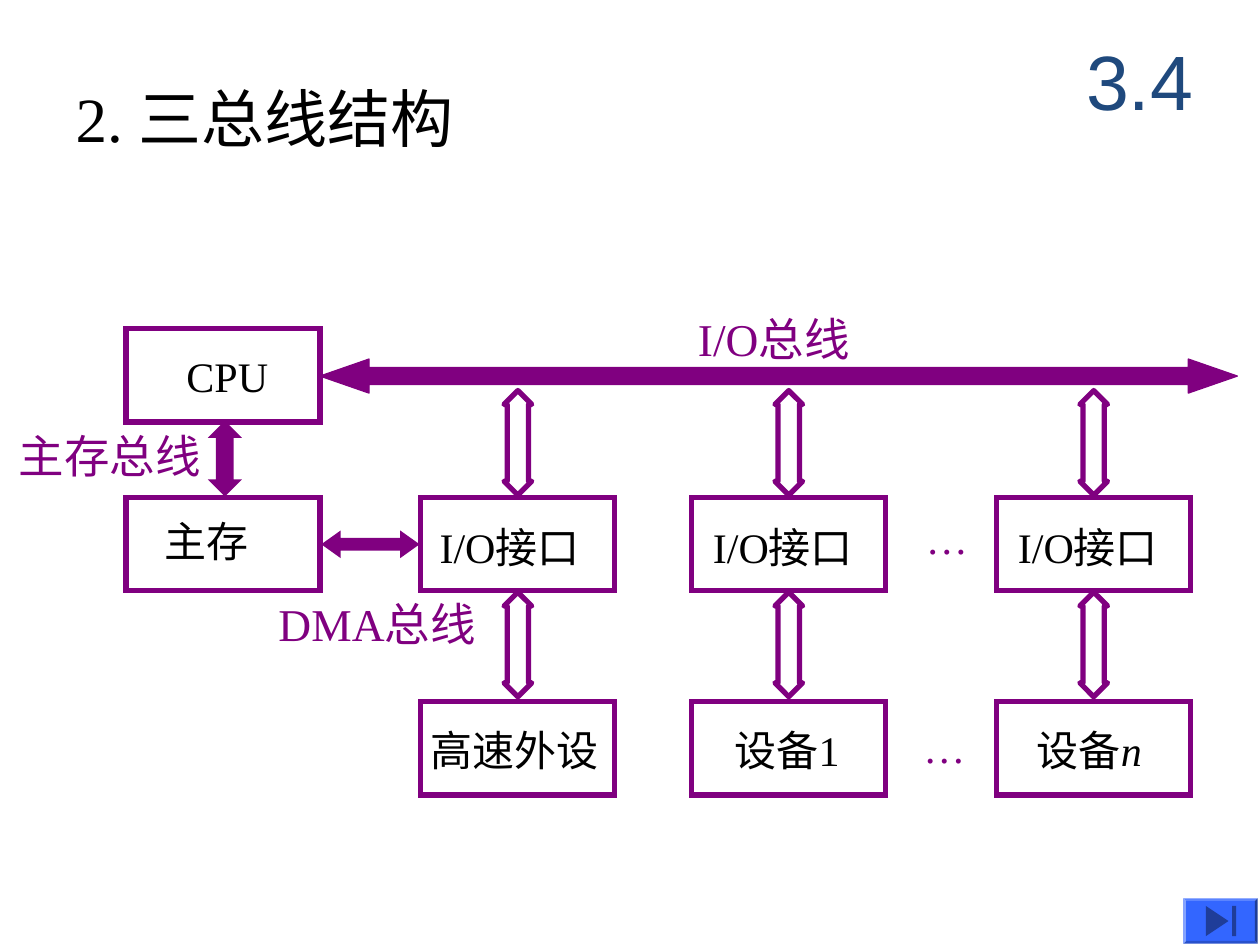
from dataclasses import dataclass

from pptx import Presentation
from pptx.dml.color import RGBColor
from pptx.enum import shapes, text
from pptx.oxml.ns import qn
from pptx.util import Inches, Pt
from lxml import etree


@dataclass(frozen=True)
class Theme:
    purple: RGBColor = RGBColor(0x80, 0x00, 0x80)
    black: RGBColor = RGBColor(0, 0, 0)
    navy: RGBColor = RGBColor(0x1F, 0x49, 0x7D)
    button: RGBColor = RGBColor(0x33, 0x66, 0xFF)
    button_symbol: RGBColor = RGBColor(0x1F, 0x3D, 0x99)
    serif: str = "Times New Roman"
    sans: str = "Calibri"
    number_font: str = "Arial"
    number_size: int = 44
    heading_size: int = 36
    bus_size: int = 26
    box_size: int = 24
    outline: int = 3


theme = Theme()
presentation = Presentation()
presentation.slide_width, presentation.slide_height = Inches(10), Inches(7.5)
slide = presentation.slides.add_slide(presentation.slide_layouts[1])
rectangle = shapes.MSO_SHAPE.RECTANGLE
horizontal = shapes.MSO_SHAPE.LEFT_RIGHT_ARROW
vertical = shapes.MSO_SHAPE.UP_DOWN_ARROW


def add_figure(kind, place, fill=None, outline=None, adjustments=()):
    """Add a preset shape; place is left, top, width, height in inches."""
    shape = slide.shapes.add_shape(kind, *map(Inches, place))
    shape.shadow.inherit = False
    for index, value in enumerate(adjustments):
        shape.adjustments[index] = value
    if fill is None:
        shape.fill.background()
    else:
        shape.fill.solid()
        shape.fill.fore_color.rgb = fill
    if outline is None:
        shape.line.fill.background()
    else:
        shape.line.color.rgb = theme.purple
        shape.line.width = Pt(outline)
        if kind == rectangle:
            line = shape.line._get_or_add_ln()
            etree.SubElement(line, qn("a:miter")).set("lim", "800000")


def add_label(place, runs, size, color, inset=True, wrap=True):
    """Add a text box; runs holds (text, font, italic) tuples."""
    box = slide.shapes.add_textbox(*map(Inches, place))
    frame = box.text_frame
    frame.word_wrap = wrap
    frame.auto_size = text.MSO_AUTO_SIZE.SHAPE_TO_FIT_TEXT
    if not inset:
        frame.margin_left = frame.margin_right = Inches(0)
        frame.margin_top = frame.margin_bottom = Inches(0)
    paragraph = frame.paragraphs[0]
    paragraph.font.size = Pt(size)
    paragraph.font.color.rgb = color
    for words, font, italic in runs:
        run = paragraph.add_run()
        run.text = words
        run.font.name = font
        if italic:
            run.font.italic = True


# Section number and heading
headings = [
    (slide.shapes.title, (8.42, 0.17, 1.25, 0.92), "3.4",
     theme.number_font, theme.number_size, theme.navy, text.PP_ALIGN.CENTER, text.MSO_ANCHOR.MIDDLE),
    (slide.placeholders[1], (0.5, 0.58, 8.5, 0.75), "2. 三总线结构",
     theme.serif, theme.heading_size, theme.black, text.PP_ALIGN.LEFT, text.MSO_ANCHOR.TOP),
]
for placeholder, place, words, font, size, color, alignment, anchor in headings:
    placeholder.left, placeholder.top, placeholder.width, placeholder.height = map(Inches, place)
    frame = placeholder.text_frame
    frame.text = words
    frame.auto_size = text.MSO_AUTO_SIZE.NONE
    frame.vertical_anchor = anchor
    paragraph = frame.paragraphs[0]
    properties = paragraph._p.get_or_add_pPr()
    properties.set("marL", "0")
    properties.set("indent", "0")
    etree.SubElement(properties, qn("a:buNone"))
    paragraph.alignment = alignment
    paragraph.space_before = Pt(0)
    paragraph.font.name = font
    paragraph.font.size = Pt(size)
    paragraph.font.color.rgb = color

# Buses
add_figure(vertical, (1.65, 3.34, 0.27, 0.6), theme.purple, adjustments=(0.52, 0.41)[::-1])
add_figure(horizontal, (2.55, 4.21, 0.78, 0.22), theme.purple, adjustments=(0.46, 0.7))
add_figure(horizontal, (2.54, 2.85, 7.28, 0.27), theme.purple, 0.75, (0.5, 1.44))

bus_labels = [
    ((0.15, 3.4, 1.45, 0.43), [("主存总线", theme.sans, False)], False),
    ((2.21, 4.73, 1.65, 0.43), [("DMA", theme.serif, False), ("总线", theme.sans, False)], False),
    ((5.44, 2.42, 1.49, 0.54), [("I/O总线", theme.serif, False)], True),
]
for place, runs, inset in bus_labels:
    add_label(place, runs, theme.bus_size, theme.purple, inset, wrap=False)

# Boxes and their double arrows
box_width, box_height = 1.54, 0.74
cpu_top, interface_top, device_top = 2.61, 3.95, 5.57
arrow_width, arrow_height = 0.22, 0.83

for top in (cpu_top, interface_top):
    add_figure(rectangle, (1, top, box_width, box_height), outline=theme.outline)
add_label((1.48, 2.78, 1.02, 0.4), [("CPU", theme.serif, False)],
          theme.box_size, theme.black, inset=False)
add_label((1.31, 4.09, 1.2, 0.4), [("主存", theme.sans, False)],
          theme.box_size, theme.black, inset=False)

columns = [  # box left, interface label left, device label left, device label
    (3.34, 3.39, 3.42, [("高速外设", theme.sans, False)]),
    (5.49, 5.56, 5.83, [("设备", theme.sans, False), ("1", theme.serif, False)]),
    (7.91, 7.98, 8.23, [("设备", theme.sans, False), ("n", theme.serif, True)]),
]
for left, interface_left, device_left, device_runs in columns:
    arrow_left = left + (box_width - arrow_width) / 2
    for top, arrow_top in ((interface_top, 3.1), (device_top, 4.7)):
        add_figure(rectangle, (left, top, box_width, box_height), outline=theme.outline)
        add_figure(vertical, (arrow_left, arrow_top, arrow_width, arrow_height),
                   outline=theme.outline, adjustments=(0.77, 0.5)[::-1])
    add_label((interface_left, 4.09, 1.69, 0.5), [("I/O接口", theme.serif, False)],
              theme.box_size, theme.black)
    add_label((device_left, 5.75, 1.5, 0.4), device_runs,
              theme.box_size, theme.black, inset=False)

for left, top in ((7.25, 4.02), (7.23, 5.68)):
    add_label((left, top, 0.53, 0.5), [("…", theme.serif, False)],
              theme.box_size, theme.purple, wrap=False)

# Navigation button: bevelled face with a triangle and a bar
add_figure(shapes.MSO_SHAPE.BEVEL, (9.39, 7.13, 0.59, 0.36), theme.button, adjustments=(0.06,))
builder = slide.shapes.build_freeform(Inches(9.57), Inches(7.19), scale=1.0)
builder.add_line_segments([(Inches(9.75), Inches(7.31)), (Inches(9.57), Inches(7.43))])
builder.move_to(Inches(9.78), Inches(7.19))
builder.add_line_segments([(Inches(x), Inches(y)) for x, y in ((9.81, 7.19), (9.81, 7.43), (9.78, 7.43))])
symbol = builder.convert_to_shape()
symbol.shadow.inherit = False
symbol.fill.solid()
symbol.fill.fore_color.rgb = theme.button_symbol
symbol.line.fill.background()

presentation.save("out.pptx")
